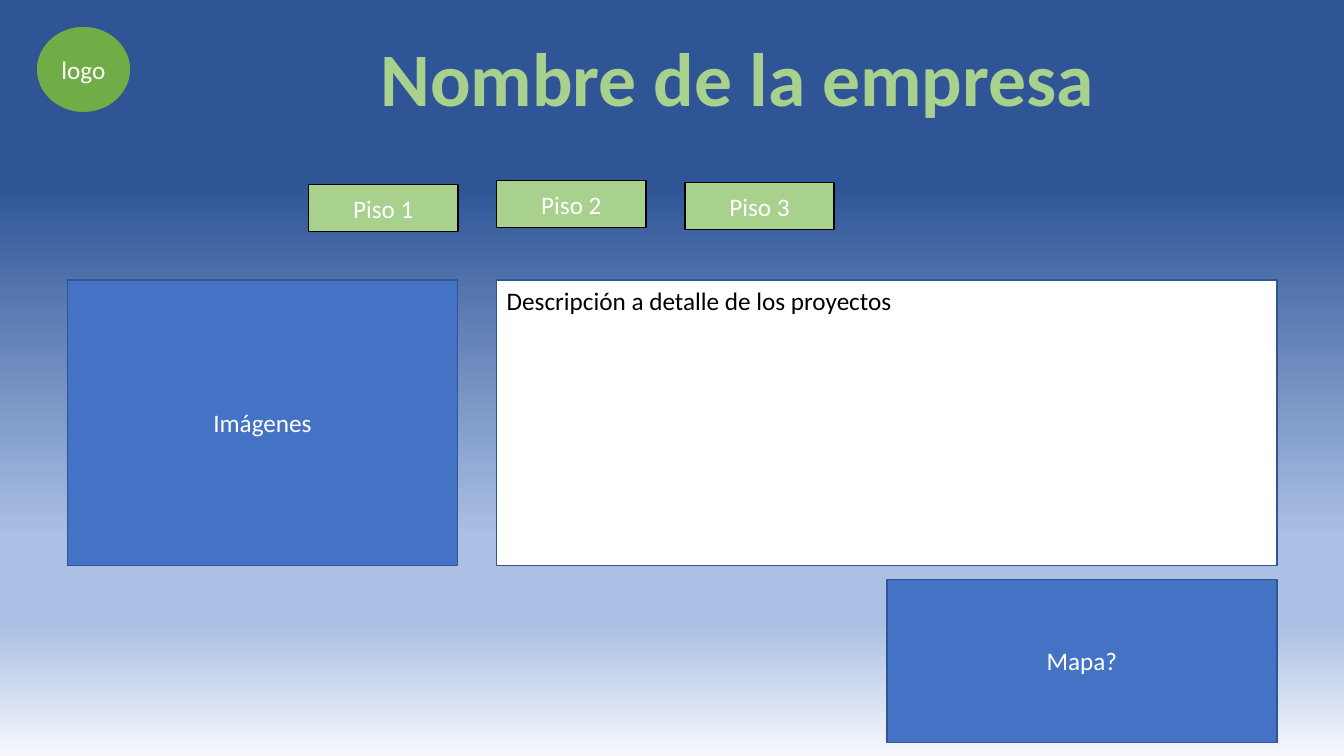
"""Build the company layout slide with floors, images, description and map."""
from copy import deepcopy
from dataclasses import dataclass
from typing import Optional

from lxml import etree
from pptx import Presentation
from pptx import util as u
from pptx.dml.color import RGBColor
from pptx.enum import shapes, text
from pptx.oxml import ns

WHITE = RGBColor(0xFF, 0xFF, 0xFF)
BLACK = RGBColor(0x00, 0x00, 0x00)
NAVY = RGBColor(0x2F, 0x55, 0x97)
EDGE_BLUE = RGBColor(0x32, 0x54, 0x91)
BLUE = RGBColor(0x44, 0x72, 0xC4)
SOFT_BLUE = RGBColor(0xAB, 0xC0, 0xE4)
PALE_BLUE = RGBColor(0xF6, 0xF8, 0xFC)
GREEN = RGBColor(0x70, 0xAD, 0x47)
LIGHT_GREEN = RGBColor(0xA9, 0xD1, 0x8E)
DARK_GREEN = RGBColor(0x38, 0x57, 0x23)

SLIDE_WIDTH, SLIDE_HEIGHT, HEADER_HEIGHT = 33.87, 19.05, 4.65
BACKDROP_STOPS = [(0, PALE_BLUE), (0.23, SOFT_BLUE), (0.38, SOFT_BLUE), (1, NAVY)]
FLOOR_LEFT, FLOOR_STEP = 7.78, 4.74
FLOOR_TOPS = [4.65, 4.55, 4.6]


@dataclass
class Box:
    """A filled shape, measured in centimetres."""
    left: float
    top: float
    width: float
    height: float
    fill: Optional[RGBColor]
    line: Optional[RGBColor] = EDGE_BLUE
    label: str = ""
    kind: shapes.MSO_SHAPE = shapes.MSO_SHAPE.RECTANGLE


HEADER = Box(0, 0, SLIDE_WIDTH, HEADER_HEIGHT, NAVY, NAVY)
BACKDROP = Box(0, HEADER_HEIGHT, SLIDE_WIDTH, SLIDE_HEIGHT - HEADER_HEIGHT, None, None)
DESCRIPTION = Box(12.52, 7.06, 19.66, 7.19, WHITE)
LABELLED = [
    Box(1.7, 7.06, 9.83, 7.19, BLUE, label="Imágenes"),
    Box(22.35, 14.6, 9.83, 4.11, BLUE, label="Mapa?"),
    Box(0.91, 0.66, 2.39, 2.18, GREEN, label="logo", kind=shapes.MSO_SHAPE.OVAL),
] + [
    Box(FLOOR_LEFT + index * FLOOR_STEP, top, 3.76, 1.19, LIGHT_GREEN, BLACK, f"Piso {index + 1}")
    for index, top in enumerate(FLOOR_TOPS)
]


def write(shape, content: str, *, size: float = 18, color: RGBColor = WHITE,
          bold: bool = False, align=text.PP_ALIGN.CENTER,
          anchor=text.MSO_ANCHOR.MIDDLE, wrap: bool = True,
          outline: Optional[RGBColor] = None, outline_width: float = 1) -> None:
    """Write one formatted paragraph into a shape."""
    frame = shape.text_frame
    frame.word_wrap = wrap
    frame.vertical_anchor = anchor
    paragraph = frame.paragraphs[0]
    paragraph.alignment = align
    run = paragraph.add_run()
    run.text = content
    font = run.font
    font.name, font.size, font.bold = "Calibri", u.Pt(size), bold
    font.color.rgb = color
    if outline is not None:
        line = etree.Element(ns.qn("a:ln"), w=str(u.Pt(outline_width)))
        solid = etree.SubElement(line, ns.qn("a:solidFill"))
        etree.SubElement(solid, ns.qn("a:srgbClr"), val=str(outline))
        run._r.get_or_add_rPr().insert(0, line)


def draw_box(slide, box: Box):
    """Draw a box with its fill, line and optional label."""
    shape = slide.shapes.add_shape(
        box.kind, u.Cm(box.left), u.Cm(box.top), u.Cm(box.width), u.Cm(box.height))
    shape.shadow.inherit = False
    if box.fill is not None:
        shape.fill.solid()
        shape.fill.fore_color.rgb = box.fill
    if box.line is None:
        shape.line.fill.background()
    else:
        shape.line.color.rgb = box.line
        shape.line.width = u.Pt(1)
    if box.label:
        write(shape, box.label)
    return shape


def fill_gradient(shape, stops: list[tuple[float, RGBColor]], angle: float) -> None:
    """Fill a shape with a linear gradient of any number of stops."""
    shape.fill.gradient()
    shape.fill.gradient_angle = angle
    stop_list = shape._element.spPr.find(ns.qn("a:gradFill")).find(ns.qn("a:gsLst"))
    while len(stop_list) < len(stops):
        stop_list.append(deepcopy(stop_list[0]))
    for stop, (position, color) in zip(shape.fill.gradient_stops, stops):
        stop.position = position
        stop.color.rgb = color


def main() -> None:
    """Build and save the slide."""
    presentation = Presentation()
    presentation.slide_width = u.Cm(SLIDE_WIDTH)
    presentation.slide_height = u.Cm(SLIDE_HEIGHT)
    slide = presentation.slides.add_slide(presentation.slide_layouts[6])

    fill_gradient(draw_box(slide, BACKDROP), BACKDROP_STOPS, 90)
    draw_box(slide, HEADER)
    write(draw_box(slide, DESCRIPTION), "Descripción a detalle de los proyectos",
          color=BLACK, align=text.PP_ALIGN.LEFT, anchor=text.MSO_ANCHOR.TOP,
          outline=BLACK, outline_width=0.75)
    title = slide.shapes.add_textbox(u.Cm(9.25), u.Cm(0.66), u.Cm(18.67), u.Cm(2.57))
    write(title, "Nombre de la empresa", size=54, color=LIGHT_GREEN, bold=True,
          anchor=text.MSO_ANCHOR.TOP, wrap=False, outline=DARK_GREEN)
    title.text_frame.auto_size = text.MSO_AUTO_SIZE.SHAPE_TO_FIT_TEXT
    for box in LABELLED:
        draw_box(slide, box)

    presentation.save("out.pptx")


if __name__ == "__main__":
    main()
